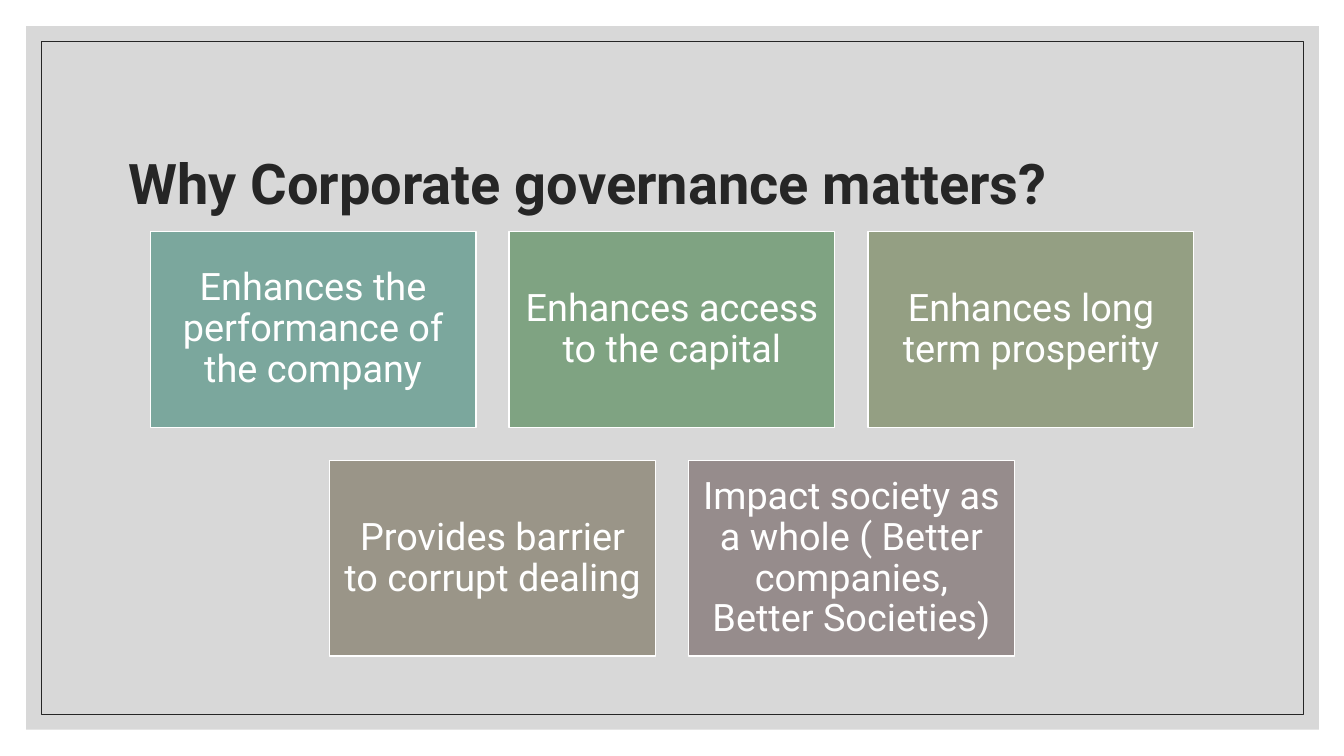
from dataclasses import dataclass

import pptx
import pptx.dml.color
import pptx.enum.shapes
import pptx.enum.text
import pptx.oxml.ns
import pptx.util
from lxml import etree

EMU_PER_PX = 9144  # 100 px to the inch
SLIDE_W, SLIDE_H = 1333, 750


@dataclass(frozen=True)
class Theme:
    font: str = "Roboto"
    ink: str = "262626"
    light: str = "FFFFFF"
    panel: str = "BFBFBF"
    panel_opacity: int = 60
    title_pt: int = 40
    card_pt: int = 27
    line_spacing: float = 0.9
    frame_pt: float = 0.5
    border_pt: float = 1


@dataclass(frozen=True)
class Box:
    x: int
    y: int
    w: int
    h: int


@dataclass(frozen=True)
class Card:
    text: str
    fill: str


THEME = Theme()
PANEL = Box(26, 26, 1282, 698)
FRAME = Box(41, 41, 1252, 668)
TITLE = Box(117, 70, 1100, 150)
CARD_W, CARD_H, CARD_GAP, CARDS_TOP, CARD_INSET = 323, 194, 33, 230, 11

CARD_ROWS = [
    [
        Card("Enhances the performance of the company", "7BA79D"),
        Card("Enhances access to the capital", "7FA382"),
        Card("Enhances long term prosperity", "949F83"),
    ],
    [
        Card("Provides barrier to corrupt dealing", "9A9588"),
        Card("Impact society as a whole ( Better companies, Better Societies)", "968C8C"),
    ],
]


def px(n: int) -> pptx.util.Emu:
    return pptx.util.Emu(n * EMU_PER_PX)


def rgb(color: str) -> pptx.dml.color.RGBColor:
    return pptx.dml.color.RGBColor.from_string(color)


def add_rect(slide, box: Box, fill: str | None, line: str | None, line_pt: float = 1):
    sp = slide.shapes.add_shape(
        pptx.enum.shapes.MSO_SHAPE.RECTANGLE, px(box.x), px(box.y), px(box.w), px(box.h)
    )
    sp.shadow.inherit = False
    if fill:
        sp.fill.solid()
        sp.fill.fore_color.rgb = rgb(fill)
    else:
        sp.fill.background()
    if line:
        sp.line.color.rgb = rgb(line)
        sp.line.width = pptx.util.Pt(line_pt)
    else:
        sp.line.fill.background()
    return sp


def set_opacity(sp, percent: int) -> None:
    color = sp.fill._xPr.find(".//" + pptx.oxml.ns.qn("a:srgbClr"))
    etree.SubElement(color, pptx.oxml.ns.qn("a:alpha"), val=str(percent * 1000))


def write_text(sp, text: str, size: int, color: str, bold: bool, align, anchor) -> None:
    tf = sp.text_frame
    tf.word_wrap = True
    tf.auto_size = pptx.enum.text.MSO_AUTO_SIZE.NONE
    tf.vertical_anchor = anchor
    p = tf.paragraphs[0]
    p.alignment = align
    p.line_spacing = THEME.line_spacing
    r = p.add_run()
    r.text = text
    r.font.name = THEME.font
    r.font.size = pptx.util.Pt(size)
    r.font.bold = bold
    r.font.color.rgb = rgb(color)


def add_background(slide) -> None:
    panel = add_rect(slide, PANEL, THEME.panel, None)
    set_opacity(panel, THEME.panel_opacity)
    add_rect(slide, FRAME, None, THEME.ink, THEME.frame_pt)


def add_title(slide, text: str) -> None:
    sp = slide.shapes.title
    sp.left, sp.top, sp.width, sp.height = px(TITLE.x), px(TITLE.y), px(TITLE.w), px(TITLE.h)
    write_text(sp, text, THEME.title_pt, THEME.ink, True,
               pptx.enum.text.PP_ALIGN.LEFT, pptx.enum.text.MSO_ANCHOR.BOTTOM)
    # Bring the title in front of the panel
    slide.shapes._spTree.append(sp.element)


def add_card(slide, card: Card, box: Box) -> None:
    sp = add_rect(slide, box, card.fill, THEME.light, THEME.border_pt)
    tf = sp.text_frame
    tf.margin_left = tf.margin_right = tf.margin_top = tf.margin_bottom = px(CARD_INSET)
    write_text(sp, card.text, THEME.card_pt, THEME.light, False,
               pptx.enum.text.PP_ALIGN.CENTER, pptx.enum.text.MSO_ANCHOR.MIDDLE)


def add_cards(slide) -> None:
    # Each row is centred on the slide
    for row, cards in enumerate(CARD_ROWS):
        row_w = len(cards) * (CARD_W + CARD_GAP) - CARD_GAP
        left = (SLIDE_W - row_w) // 2
        y = CARDS_TOP + row * (CARD_H + CARD_GAP)
        for col, card in enumerate(cards):
            add_card(slide, card, Box(left + col * (CARD_W + CARD_GAP), y, CARD_W, CARD_H))


def main() -> None:
    prs = pptx.Presentation()
    prs.slide_width, prs.slide_height = px(SLIDE_W), px(SLIDE_H)
    slide = prs.slides.add_slide(prs.slide_layouts.get_by_name("Title Only"))
    add_background(slide)
    add_title(slide, "Why Corporate governance matters?")
    add_cards(slide)
    prs.save("out.pptx")


if __name__ == "__main__":
    main()
